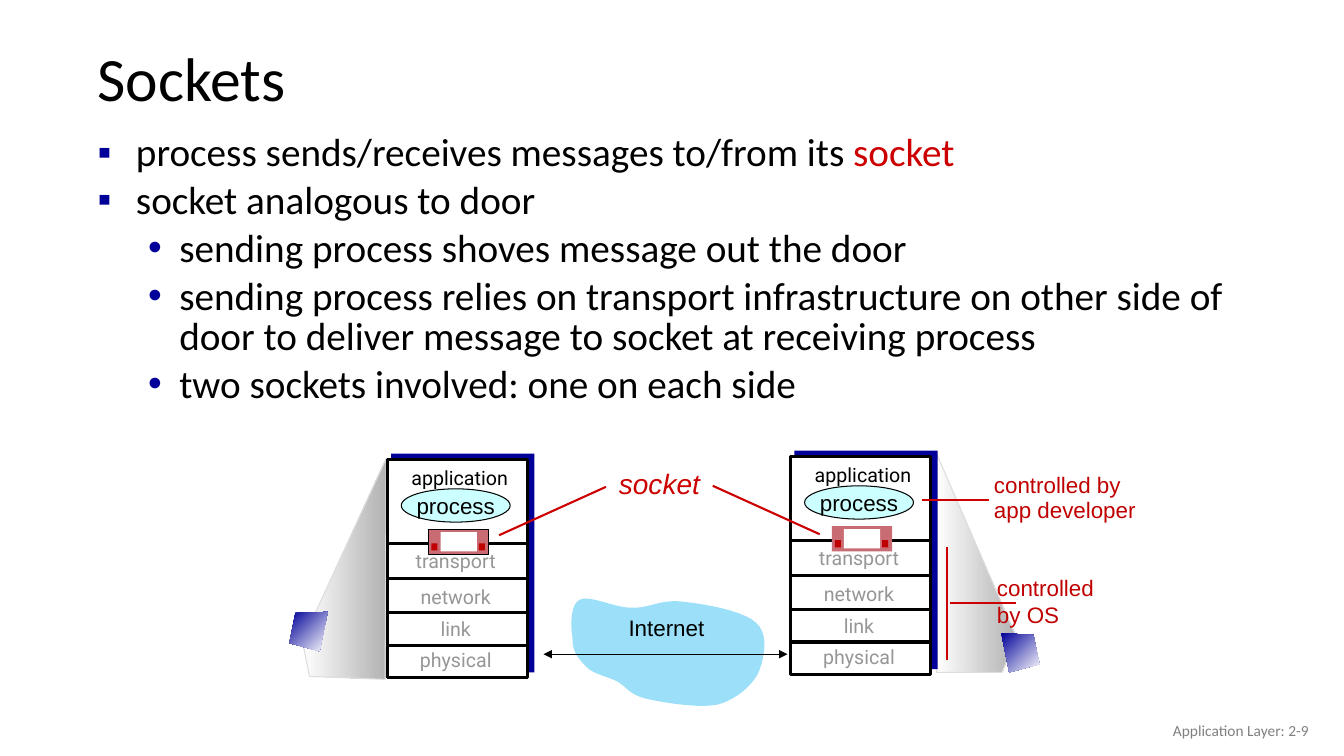
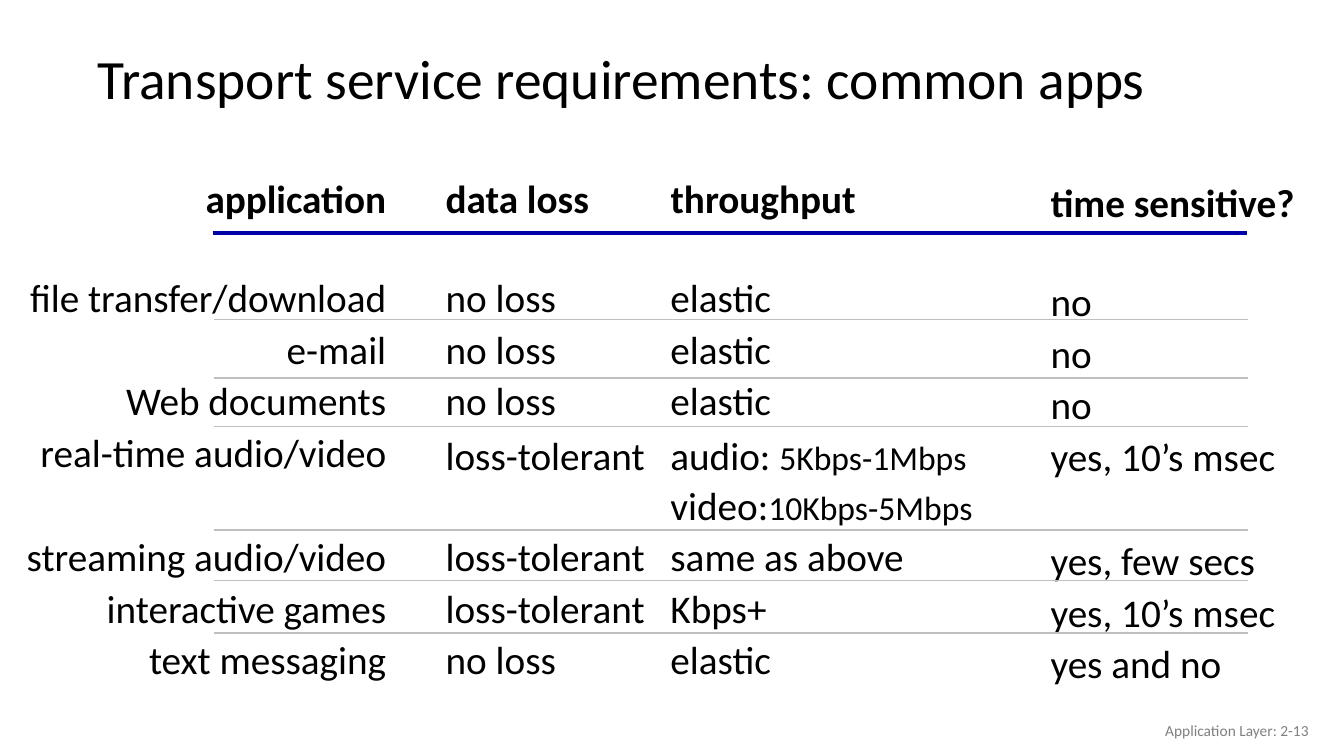
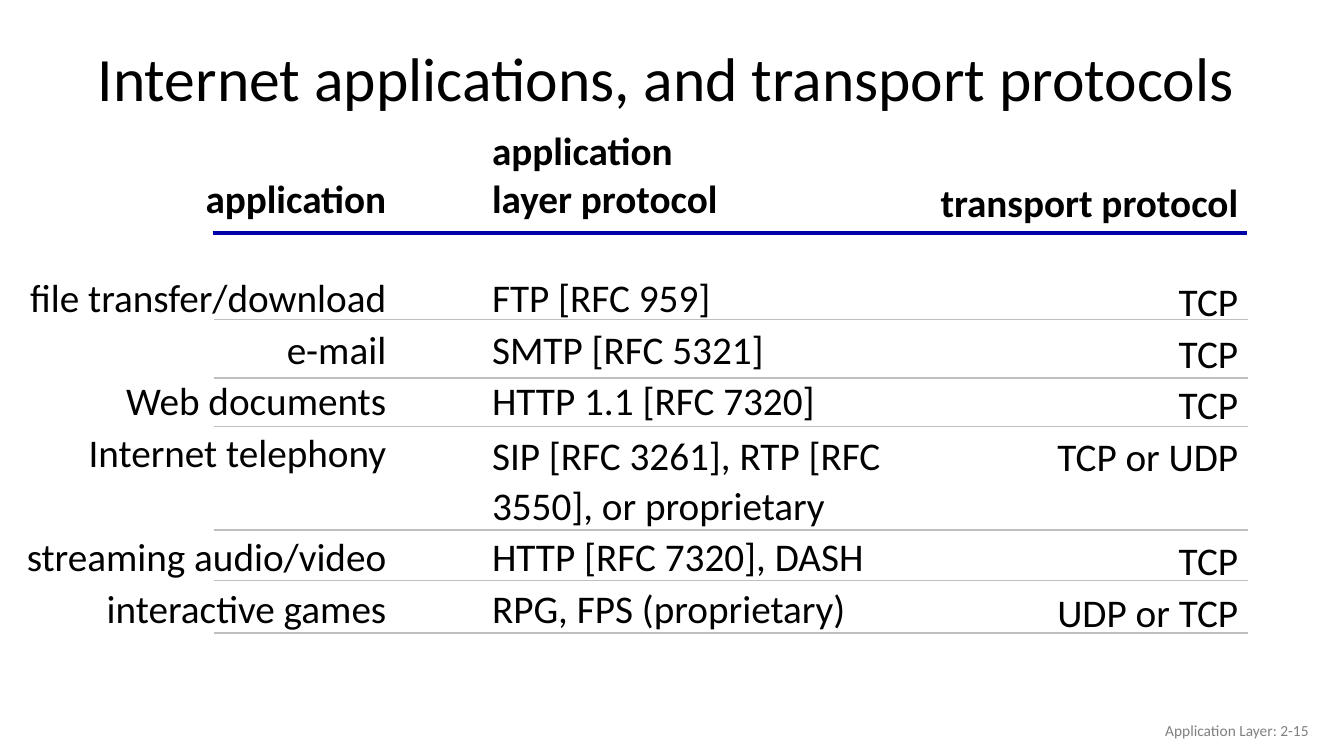
from lxml import etree
from pptx import Presentation
from pptx.dml.color import RGBColor
from pptx.enum.shapes import MSO_CONNECTOR, MSO_SHAPE
from pptx.enum.text import MSO_ANCHOR, PP_ALIGN
from pptx.oxml.ns import qn
from pptx.util import Inches, Pt

RECT, OVAL, STRAIGHT = MSO_SHAPE.RECTANGLE, MSO_SHAPE.OVAL, MSO_CONNECTOR.STRAIGHT
LEFT, CENTER, RIGHT = PP_ALIGN.LEFT, PP_ALIGN.CENTER, PP_ALIGN.RIGHT
TOP, MIDDLE, BOTTOM = MSO_ANCHOR.TOP, MSO_ANCHOR.MIDDLE, MSO_ANCHOR.BOTTOM
COLORS = {
    "black": "000000", "white": "FFFFFF", "navy": "000099", "header_rule": "0000A8",
    "row_rule": "BFBFBF", "red": "CC0000", "dark_red": "C00000", "faded": "969696",
    "footer": "808080", "cloud": "9CDFF9", "process": "CCFFFF", "door": "C96B72",
    "beam": "B2B2B2", "beam_edge": "DDDDDD",
}
LAYERS = [("transport", 0.81, 0.83), ("network", 1.17, 1.18),
          ("link", 1.49, 1.52), ("physical", 1.8, 1.84)]
CLOUD = [(0.03, 0.44), (0.01, 0.33), (0, 0.1), (0.1, 0.05), (0.2, 0), (0.44, 0.13),
         (0.61, 0.13), (0.78, 0.14), (0.91, 0.04), (1.12, 0.07), (1.33, 0.09),
         (1.73, 0.16), (1.85, 0.28), (1.98, 0.39), (1.93, 0.64), (1.87, 0.78),
         (1.8, 0.91), (1.65, 1.04), (1.47, 1.09), (1.28, 1.13), (0.92, 1.07),
         (0.75, 1.03), (0.59, 0.99), (0.56, 0.91), (0.47, 0.86), (0.37, 0.81),
         (0.24, 0.79), (0.17, 0.72), (0.1, 0.65), (0.02, 0.56), (0.03, 0.44)]
ROW_RULES = [3.17, 3.75, 4.23, 5.26, 5.76, 6.28]
TABLE_TOP, HEADER_HEIGHT, HEADER_GAP, BODY_HEIGHT, BODY_LINES = 1.27, 1.46, 0.51, 4.11, 8
DROP, TALL_ROW, TALL_SPACING = 0.04, 4, 1.05
APPLICATION_RIGHT = 3.83


def rgb(name):
    """Return the palette colour of that name."""
    return RGBColor.from_string(COLORS[name])


def add_bullet(paragraph, mark, margin, hang):
    """Give a paragraph a navy bullet with a hanging indent."""
    properties = paragraph._p.get_or_add_pPr()
    properties.set("marL", str(Inches(margin)))
    properties.set("indent", str(-Inches(hang)))
    tint = etree.SubElement(properties, qn("a:buClr"))
    etree.SubElement(tint, qn("a:srgbClr"), val=COLORS["navy"])
    etree.SubElement(properties, qn("a:buFont"), typeface="Arial")
    etree.SubElement(properties, qn("a:buChar"), char=mark)


def write(frame, text, size=28, color="black", font="Calibri", bold=False, italic=False,
          align=LEFT, spacing=1.0, before=0, bullets=None):
    """Write lines of text; a line is a string or a list of (words, changes) runs."""
    lines = text.split("\n") if isinstance(text, str) else text
    for index, line in enumerate(lines):
        paragraph = frame.add_paragraph() if index else frame.paragraphs[0]
        if bullets:
            add_bullet(paragraph, *bullets[index])
        paragraph.alignment, paragraph.line_spacing = align, spacing
        if index and before:
            paragraph.space_before = Pt(before)
        for words, changes in [(line, {})] if isinstance(line, str) else line:
            run = paragraph.add_run()
            run.text = words
            run.font.name, run.font.bold, run.font.italic = font, bold, italic
            run.font.size = Pt(changes.get("size", size))
            run.font.color.rgb = rgb(changes.get("color", color))


def add_label(slide, x, y, width, height, text, wrap=True, anchor=TOP, **style):
    """Place a text box."""
    frame = slide.shapes.add_textbox(
        Inches(x), Inches(y), Inches(width), Inches(height)).text_frame
    frame.word_wrap, frame.vertical_anchor = wrap, anchor
    write(frame, text, **style)


def paint(shape, fill, line=None, weight=0.75, angle=0):
    """Set a flat fill, or a gradient from a pair of names, and the outline."""
    shape.shadow.inherit = False
    if isinstance(fill, tuple):
        shape.fill.gradient()
        shape.fill.gradient_angle = angle
        for stop, name, position in zip(shape.fill.gradient_stops, fill, (0, 1)):
            stop.color.rgb, stop.position = rgb(name), position
    else:
        shape.fill.solid()
        shape.fill.fore_color.rgb = rgb(fill)
    if line:
        shape.line.color.rgb, shape.line.width = rgb(line), Pt(weight)
    else:
        shape.line.fill.background()


def add_block(slide, kind, x, y, width, height, fill, **look):
    """Place a preset shape."""
    block = slide.shapes.add_shape(
        kind, Inches(x), Inches(y), Inches(width), Inches(height))
    paint(block, fill, **look)
    return block


def add_outline(slide, x, y, points, fill, **look):
    """Place a closed outline whose points are offsets from x, y."""
    corners = [(Inches(x + dx), Inches(y + dy)) for dx, dy in points]
    builder = slide.shapes.build_freeform(*corners[0], scale=1.0)
    builder.add_line_segments(corners[1:], close=True)
    paint(builder.convert_to_shape(), fill, **look)


def add_line(slide, x1, y1, x2, y2, color, weight, arrows=False):
    """Draw a straight line, with arrowheads at both ends on request."""
    line = slide.shapes.add_connector(
        STRAIGHT, Inches(x1), Inches(y1), Inches(x2), Inches(y2))
    line.line.color.rgb, line.line.width = rgb(color), Pt(weight)
    properties = line.element.spPr
    if arrows:
        for end in ("a:headEnd", "a:tailEnd"):
            etree.SubElement(properties.find(qn("a:ln")), qn(end), type="triangle")
    etree.SubElement(properties, qn("a:effectLst"))


def smooth_curve(points, steps=10):
    """Turn chained cubic Bezier points into a list of corners."""
    corners = [points[0]]
    for start in range(0, len(points) - 1, 3):
        a, b, c, d = points[start:start + 4]
        for step in range(1, steps + 1):
            t = step / steps
            u = 1 - t
            corners.append(tuple(
                u**3 * a[i] + 3 * u * u * t * b[i] + 3 * u * t * t * c[i] + t**3 * d[i]
                for i in (0, 1)))
    return corners


def start_slide(deck, title, number, title_size=44):
    """Add a blank slide with its title and footer."""
    slide = deck.slides.add_slide(deck.slide_layouts[6])
    add_label(slide, 0.87, 0.32, 11.5, 0.98, title, anchor=MIDDLE,
              size=title_size, spacing=0.9)
    add_label(slide, 10.08, 7.05, 3, 0.4, f"Application Layer: 2-{number}", anchor=MIDDLE,
              size=11, color="footer", align=RIGHT)
    return slide


def draw_door(slide, x, y, edge):
    """Draw the socket door."""
    add_block(slide, RECT, x, y, 0.6, 0.25, "door", line=edge)
    add_block(slide, RECT, x + 0.12, y + 0.03, 0.36, 0.19, "white")
    for knob in (0.03, 0.5):
        add_block(slide, RECT, x + knob, y + 0.14, 0.06, 0.07, "dark_red")


def draw_host(slide, x, y, door_edge=None):
    """Draw one protocol stack with its process and socket."""
    add_block(slide, RECT, x + 0.04, y - 0.06, 1.42, 2.17, "navy")
    add_block(slide, RECT, x, y, 1.39, 2.16, "white", line="black", weight=2.25)
    layer_style = dict(size=14, font="Roboto", align=CENTER, spacing=1.1)
    add_label(slide, x, y - 0.01, 1.44, 0.36, "application", **layer_style)
    for layer, label_top, divider in LAYERS:
        add_line(slide, x, y + divider, x + 1.39, y + divider, "black", 2.25)
        add_label(slide, x - 0.04, y + label_top, 1.44, 0.36, layer,
                  color="faded", **layer_style)
    process = add_block(slide, OVAL, x + 0.14, y + 0.29, 1.08, 0.33, "process", line="black")
    process.text_frame.word_wrap = False
    process.text_frame.vertical_anchor = MIDDLE
    write(process.text_frame, "process", size=16, font="Arial", align=CENTER)
    draw_door(slide, x + 0.41, y + 0.69, door_edge)


def draw_beams(slide):
    """Draw the beams that link each end system to its stack."""
    beam = dict(fill=("white", "beam"), line="beam_edge")
    add_outline(slide, 3, 4.55, [(0, 1.81), (0.83, 0), (0.82, 2.19), (0.07, 2.16)], **beam)
    add_outline(slide, 9.28, 4.48,
                [(0.8, 1.84), (0, 0), (0.01, 2.19), (0.66, 2.19)], **beam)


def draw_end_systems(slide):
    """Draw the two tilted end-system tiles."""
    tile = dict(fill=("navy", "white"), angle=315)
    add_outline(slide, 2.87, 6.07, [(0.38, 0), (0.06, 0.01), (0, 0.31), (0.3, 0.39)], **tile)
    add_outline(slide, 9.93, 6.28, [(0, 0), (0.32, 0.02), (0.38, 0.31), (0.08, 0.39)], **tile)


def draw_internet(slide, x, y):
    """Draw the cloud, its name and the arrow across it."""
    add_outline(slide, x, y, smooth_curve(CLOUD), "cloud")
    add_label(slide, x + 0.48, y + 0.14, 0.96, 0.37, "Internet", wrap=False,
              size=16, font="Arial", align=CENTER)
    add_line(slide, x - 0.26, y + 0.59, x + 2.16, y + 0.59, "black", 0.75, arrows=True)


def draw_callouts(slide):
    """Draw the red remarks and their pointers."""
    remark = dict(wrap=False, size=16, font="Arial", color="dark_red")
    add_label(slide, 9.76, 4.66, 1.61, 0.58, "controlled by\napp developer",
              spacing=0.9, **remark)
    add_label(slide, 9.79, 5.65, 1.16, 0.9, "controlled\nby OS", **remark)
    add_label(slide, 6.04, 4.62, 1.2, 0.4, "socket", size=20, font="Arial",
              color="red", italic=True, spacing=0.9)
    for pointer in [(9.81, 4.96, 9.14, 4.96), (9.39, 5.43, 9.39, 6.55),
                    (10.08, 5.98, 9.42, 5.98), (4.95, 5.31, 6.01, 4.83),
                    (8.13, 5.3, 7.07, 4.82)]:
        add_line(slide, *pointer, "red", 1.5)


def build_sockets(deck):
    """Build the sockets slide."""
    slide = start_slide(deck, "Sockets", 9)
    main_bullet, sub_bullet = ("▪", 0.38, 0.38), ("•", 0.81, 0.31)
    add_label(slide, 0.87, 1.29, 11.99, 2.55, [
        [("process sends/receives messages to/from its ", {}), ("socket", {"color": "red"})],
        "socket analogous to door",
        "sending process shoves message out the door",
        "sending process relies on transport infrastructure on other side of door "
        "to deliver message to socket at receiving process",
        "two sockets involved: one on each side",
    ], spacing=0.85, before=5.6, bullets=[main_bullet] * 2 + [sub_bullet] * 3)
    draw_beams(slide)
    draw_internet(slide, 5.65, 5.9)
    draw_host(slide, 3.84, 4.56, door_edge="black")
    draw_host(slide, 7.84, 4.53)
    draw_callouts(slide)
    draw_end_systems(slide)


def fill_cell(cell, text, is_header, align, margin_right, drop, spacing):
    """Fill one table cell, lowered by drop."""
    cell.fill.background()
    cell.margin_left, cell.margin_right = 0, Inches(margin_right)
    cell.margin_top = 0 if is_header else Inches(drop)
    cell.margin_bottom = Inches(HEADER_GAP - drop) if is_header else 0
    cell.vertical_anchor = BOTTOM if is_header else TOP
    write(cell.text_frame, text, bold=is_header, align=align, spacing=spacing)


def add_requirements(slide, edges, rows, aligns):
    """Place a ruled table whose column borders are edges."""
    line_height = Inches(BODY_HEIGHT) // BODY_LINES
    table = slide.shapes.add_table(
        len(rows), len(aligns), Inches(edges[0]), Inches(TABLE_TOP),
        Inches(edges[-1] - edges[0]),
        Inches(HEADER_HEIGHT) + line_height * len(rows)).table
    table.first_row = table.horz_banding = False
    for column, left, right in zip(table.columns, edges, edges[1:]):
        column.width = Inches(right - left)
    last = len(aligns) - 1
    for r, texts in enumerate(rows):
        is_tall = r == TALL_ROW
        table.rows[r].height = (Inches(HEADER_HEIGHT) if r == 0
                                else line_height * (2 if is_tall else 1))
        for c, text in enumerate(texts):
            fill_cell(table.cell(r, c), text, r == 0, aligns[c],
                      edges[1] - APPLICATION_RIGHT if c == 0 else 0,
                      DROP if c == last else 0,
                      TALL_SPACING if is_tall and 0 < c < last else 1.0)
    add_line(slide, 2.11, 2.31, 12.37, 2.31, "header_rule", 2.5)
    for y in ROW_RULES:
        add_line(slide, 2.12, y, 12.38, y, "row_rule", 1.25)


def build_service_requirements(deck):
    """Build the slide on what common apps need."""
    slide = start_slide(deck, "Transport service requirements: common apps", 13, 39.6)
    rates = [[("audio: ", {}), ("5Kbps-1Mbps", {"size": 24})],
             [("video:", {}), ("10Kbps-5Mbps", {"size": 24})]]
    add_requirements(slide, [0.13, 4.42, 6.65, 10.42, 13.33], [
        ("application", "data loss", "throughput", "time sensitive?"),
        ("file transfer/download", "no loss", "elastic", "no"),
        ("e-mail", "no loss", "elastic", "no"),
        ("Web documents", "no loss", "elastic", "no"),
        ("real-time audio/video", "loss-tolerant", rates, "yes, 10’s msec"),
        ("streaming audio/video", "loss-tolerant", "same as above", "yes, few secs"),
        ("interactive games", "loss-tolerant", "Kbps+", "yes, 10’s msec"),
        ("text messaging", "no loss", "elastic", "yes and no"),
    ], [RIGHT, LEFT, LEFT, LEFT])


def build_protocols(deck):
    """Build the slide on protocols by application."""
    slide = start_slide(deck, "Internet applications, and transport protocols", 15)
    add_requirements(slide, [0.13, 4.88, 9.08, 12.28], [
        ("application", "application\nlayer protocol", "transport protocol"),
        ("file transfer/download", "FTP [RFC 959]", "TCP"),
        ("e-mail", "SMTP [RFC 5321]", "TCP"),
        ("Web documents", "HTTP 1.1 [RFC 7320]", "TCP"),
        ("Internet telephony", "SIP [RFC 3261], RTP [RFC 3550], or proprietary",
         "TCP or UDP"),
        ("streaming audio/video", "HTTP [RFC 7320], DASH", "TCP"),
        ("interactive games", "RPG, FPS (proprietary)", "UDP or TCP"),
    ], [RIGHT, LEFT, RIGHT])


def main():
    """Build and save the deck."""
    deck = Presentation()
    deck.slide_width, deck.slide_height = Inches(13.33), Inches(7.5)
    build_sockets(deck)
    build_service_requirements(deck)
    build_protocols(deck)
    deck.save("out.pptx")


if __name__ == "__main__":
    main()
